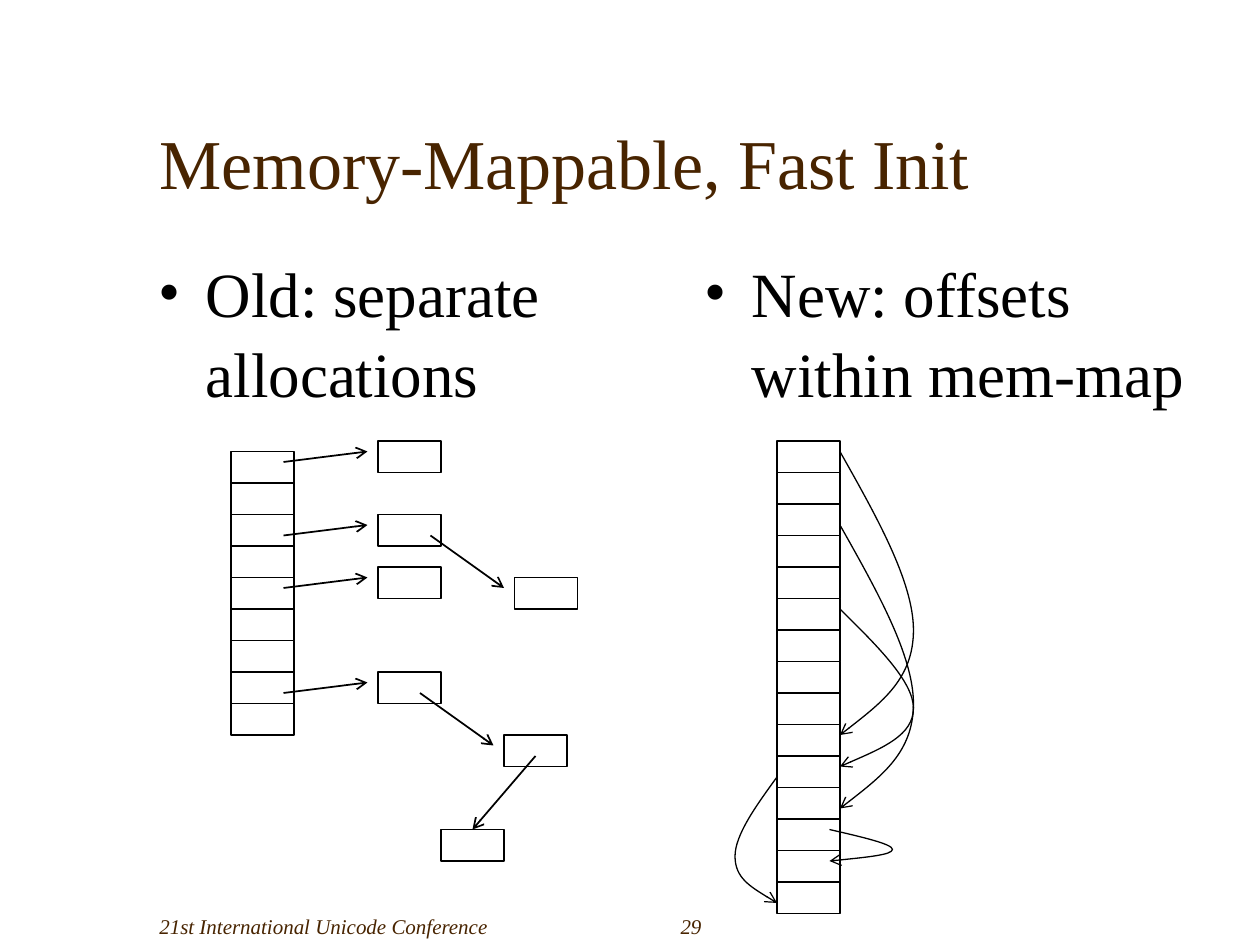
from dataclasses import dataclass
from typing import NamedTuple

from lxml import etree
from pptx import Presentation
from pptx.dml.color import RGBColor
from pptx.enum.shapes import MSO_CONNECTOR, MSO_SHAPE
from pptx.enum.text import MSO_ANCHOR, MSO_AUTO_SIZE, PP_ALIGN
from pptx.oxml.ns import qn
from pptx.util import Pt

RECTANGLE = MSO_SHAPE.RECTANGLE
STRAIGHT = MSO_CONNECTOR.STRAIGHT
TOP, BOTTOM = MSO_ANCHOR.TOP, MSO_ANCHOR.BOTTOM
LEFT, RIGHT = PP_ALIGN.LEFT, PP_ALIGN.RIGHT
NO_AUTOFIT = MSO_AUTO_SIZE.NONE
TOP_SITE = 0


@dataclass(frozen=True)
class Theme:
    font: str = "Times New Roman"
    brown: RGBColor = RGBColor(0x48, 0x24, 0x00)
    black: RGBColor = RGBColor(0, 0, 0)
    white: RGBColor = RGBColor(255, 255, 255)
    title_size: float = 40
    body_size: float = 36
    footer_size: float = 12
    outline: float = 0.75
    arrow: float = 1


class Box(NamedTuple):
    left: float
    top: float
    width: float
    height: float


class Label(NamedTuple):
    text: str
    box: Box
    size: float
    color: RGBColor
    anchor: MSO_ANCHOR = TOP
    alignment: PP_ALIGN = LEFT
    italic: bool = False
    bullet: bool = False


class Arrow(NamedTuple):
    start_x: float
    start_y: float
    end_x: float
    end_y: float


class Arc(NamedTuple):
    left: float
    top: float
    bulge: float
    drop: float


THEME = Theme()
CELL_WIDTH, CELL_HEIGHT = 36, 18
BULLET_INDENT = 27
ARC_STEPS = ((0.5, 0.23), (1, 0.46), (1, 0.63), (1, 0.8), (0.5, 0.9), (0, 1))

TITLE = Label("Memory-Mappable, Fast Init", Box(84, 30, 612, 90),
              THEME.title_size, THEME.brown, BOTTOM)
LABELS = (
    Label("Old: separate allocations", Box(83.5, 140, 300, 324),
          THEME.body_size, THEME.black, bullet=True),
    Label("New: offsets within mem-map", Box(395.5, 140, 300, 324),
          THEME.body_size, THEME.black, bullet=True),
    Label("21st International Unicode Conference", Box(84, 504, 288, 36),
          THEME.footer_size, THEME.brown, BOTTOM, italic=True),
    Label("29", Box(372, 504, 36, 36),
          THEME.footer_size, THEME.brown, BOTTOM, RIGHT, italic=True),
)
ALLOCATIONS = ((216, 252), (216, 294), (216, 324), (216, 384),
               (288, 420), (294, 330), (252, 474))
POINTERS = (
    *(Arrow(162, top, 210, top - 6) for top in (264, 306, 336, 396)),
    Arrow(240, 396, 282, 426),
    Arrow(246, 306, 288, 336),
    Arrow(306, 432, 270, 474),
)
OFFSETS = (
    Arc(480, 258, 42, 162),
    Arc(480, 300, 42, 162),
    Arc(480, 348, 42, 90),
    Arc(444, 444, -24, 72),
    Arc(474, 474, 36, 18),
)


def format_label(shape, label: Label) -> None:
    shape.left, shape.top, shape.width, shape.height = map(Pt, label.box)
    frame = shape.text_frame
    frame.text = label.text
    frame.word_wrap = True
    frame.auto_size = NO_AUTOFIT
    frame.vertical_anchor = label.anchor
    paragraph = frame.paragraphs[0]
    paragraph.alignment = label.alignment
    if label.bullet:
        add_bullet(paragraph)
    font = paragraph.runs[0].font
    font.name = THEME.font
    font.size = Pt(label.size)
    font.italic = label.italic
    font.color.rgb = label.color


def add_bullet(paragraph) -> None:
    paragraph.line_spacing = 1.05
    properties = paragraph._p.get_or_add_pPr()
    properties.set("marL", str(Pt(BULLET_INDENT)))
    properties.set("indent", str(-Pt(BULLET_INDENT)))
    color = etree.SubElement(properties, qn("a:buClr"))
    etree.SubElement(color, qn("a:srgbClr"), val=str(THEME.black))
    etree.SubElement(properties, qn("a:buFont"), typeface=THEME.font)
    etree.SubElement(properties, qn("a:buChar"), char="•")


def set_line(line, width: float, arrowhead: bool = False) -> None:
    line.color.rgb = THEME.black
    line.width = Pt(width)
    if arrowhead:
        etree.SubElement(line._get_or_add_ln(), qn("a:tailEnd"), type="arrow")


def add_cell(shapes, left: float, top: float):
    cell = shapes.add_shape(RECTANGLE, Pt(left), Pt(top), Pt(CELL_WIDTH), Pt(CELL_HEIGHT))
    cell.shadow.inherit = False
    cell.fill.solid()
    cell.fill.fore_color.rgb = THEME.white
    set_line(cell.line, THEME.outline)
    return cell


def add_column(shapes, left: float, top: float, count: int) -> None:
    for row in range(count):
        add_cell(shapes, left, top + row * CELL_HEIGHT)


def add_arrow(shapes, arrow: Arrow):
    connector = shapes.add_connector(STRAIGHT, *map(Pt, arrow))
    set_line(connector.line, THEME.arrow, arrowhead=True)
    etree.SubElement(connector._element.spPr, qn("a:effectLst"))
    return connector


def add_arc(shapes, arc: Arc) -> None:
    builder = shapes.build_freeform(Pt(arc.left), Pt(arc.top))
    points = [(Pt(arc.left + across * arc.bulge), Pt(arc.top + down * arc.drop))
              for across, down in ARC_STEPS]
    builder.add_line_segments(points, close=False)
    shape = builder.convert_to_shape()
    segments = shape._element.xpath(".//a:lnTo")
    outline = segments[0].getparent()
    for first in range(0, len(segments), 3):
        curve = etree.SubElement(outline, qn("a:cubicBezTo"))
        for segment in segments[first:first + 3]:
            curve.append(segment[0])
            outline.remove(segment)
    shape.shadow.inherit = False
    shape.fill.background()
    set_line(shape.line, THEME.outline, arrowhead=True)


def add_old_design(slide) -> None:
    shapes = slide.shapes.add_group_shape().shapes
    add_column(shapes, 132, 258, 9)
    allocations = [add_cell(shapes, left, top) for left, top in ALLOCATIONS]
    connectors = [add_arrow(shapes, pointer) for pointer in POINTERS]
    connectors[-1].end_connect(allocations[-1], TOP_SITE)


def add_new_design(slide) -> None:
    shapes = slide.shapes.add_group_shape().shapes
    add_column(shapes, 444, 252, 15)
    for offset in OFFSETS:
        add_arc(shapes, offset)


def main() -> None:
    presentation = Presentation()
    presentation.slide_width, presentation.slide_height = Pt(720), Pt(540)
    slide = presentation.slides.add_slide(presentation.slide_layouts[5])
    format_label(slide.shapes.title, TITLE)
    for label in LABELS:
        format_label(slide.shapes.add_textbox(*map(Pt, label.box)), label)
    add_old_design(slide)
    add_new_design(slide)
    presentation.save("out.pptx")


if __name__ == "__main__":
    main()
